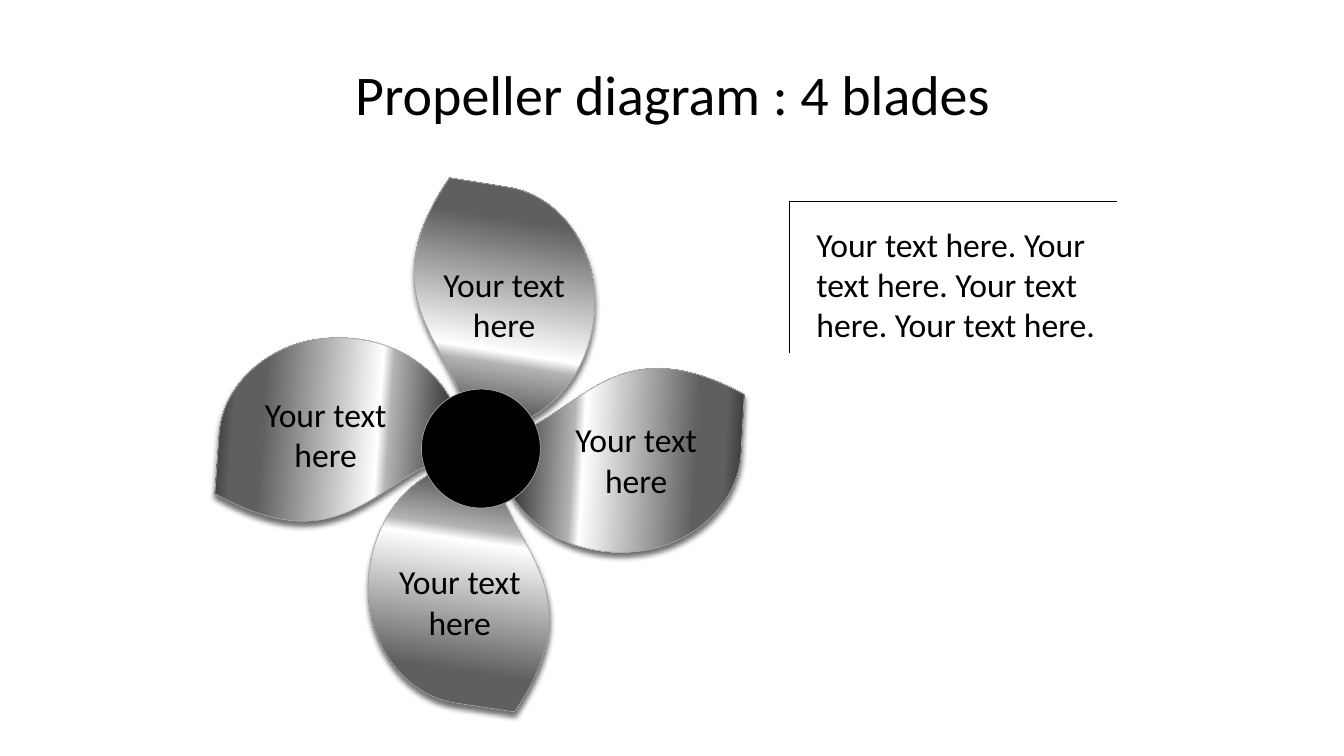
from lxml import etree
from pptx import Presentation
from pptx.dml.color import RGBColor
from pptx.enum.shapes import MSO_CONNECTOR, MSO_SHAPE
from pptx.enum.text import MSO_ANCHOR, PP_ALIGN
from pptx.oxml.ns import qn
from pptx.util import Pt

PX = 9144
BLACK = RGBColor(0x00, 0x00, 0x00)
EDGE = RGBColor(0xA6, 0xA6, 0xA6)
FONT = "Calibri"
LEFT, CENTER = PP_ALIGN.LEFT, PP_ALIGN.CENTER
TOP, MIDDLE = MSO_ANCHOR.TOP, MSO_ANCHOR.MIDDLE
OVAL = MSO_SHAPE.OVAL
LINE = MSO_CONNECTOR.STRAIGHT

STOPS = [
    (0, RGBColor(0x26, 0x26, 0x26)),
    (11, RGBColor(0x5F, 0x5F, 0x5F)),
    (21, RGBColor(0x5F, 0x5F, 0x5F)),
    (63, RGBColor(0xFF, 0xFF, 0xFF)),
    (67, RGBColor(0xB2, 0xB2, 0xB2)),
    (91, RGBColor(0x29, 0x29, 0x29)),
    (98, RGBColor(0x77, 0x77, 0x77)),
    (100, RGBColor(0xEA, 0xEA, 0xEA)),
]
START = (122, 242)
CURVE = [
    (162, 243), (199, 217), (217, 177),
    (232, 143), (232, 102), (218, 68),
    (200, 27), (164, 0), (124, 0),
    (124, 0), (65, 0), (65, 0),
    (0, 138), (103, 162), START,
]
BLADES = [(361, 183, 9.1), (222, 326, 274.1), (362, 457, 188.5), (498, 314, 93.2)]
LABELS = [(421, 257), (552, 411), (377, 552), (244, 386)]


def add_node(parent, tag, **attrs):
    """Append a drawing element with the given attributes."""
    return etree.SubElement(parent, qn(tag), {k: str(v) for k, v in attrs.items()})


def set_edge(shape):
    """Give a shape its thin grey outline."""
    shape.line.color.rgb = EDGE
    shape.line.width = Pt(0.5)


def bend(shape):
    """Turn each three straight segments into one Bezier curve."""
    lines = list(shape._element.iter(qn("a:lnTo")))
    for i in range(0, len(lines), 3):
        curve = etree.Element(qn("a:cubicBezTo"))
        lines[i].addprevious(curve)
        for line in lines[i:i + 3]:
            curve.append(line[0])
            line.getparent().remove(line)


def shade(shape):
    """Fill a shape with the metal gradient."""
    shape.fill.gradient()
    shape.fill.gradient_angle = 270
    stops = next(shape._element.iter(qn("a:gsLst")))
    for old in list(stops):
        stops.remove(old)
    for pos, color in STOPS:
        stop = add_node(stops, "a:gs", pos=pos * 1000)
        add_node(stop, "a:srgbClr", val=color)


def cast(shape):
    """Add a soft shadow below a shape."""
    shape.shadow.inherit = False
    effects = next(shape._element.iter(qn("a:effectLst")))
    outer = add_node(effects, "a:outerShdw", blurRad=Pt(4), dist=Pt(3),
                     dir=5400000, rotWithShape=0)
    color = add_node(outer, "a:srgbClr", val=BLACK)
    add_node(color, "a:alpha", val=56000)


def add_blade(shapes, left, top, turn):
    """Draw one turned propeller blade."""
    pen = shapes.build_freeform(*START, scale=PX)
    pen.add_line_segments(CURVE, close=True)
    blade = pen.convert_to_shape(left * PX, top * PX)
    bend(blade)
    blade.rotation = turn
    shade(blade)
    set_edge(blade)
    cast(blade)


def add_hub(shapes, left, top, size):
    """Draw the round black hub."""
    hub = shapes.add_shape(OVAL, left * PX, top * PX, size * PX, size * PX)
    hub.shadow.inherit = False
    hub.fill.solid()
    hub.fill.fore_color.rgb = BLACK
    set_edge(hub)


def add_text(shapes, box, text, size=24, align=LEFT, anchor=TOP):
    """Add a wrapped text box with one run."""
    frame = shapes.add_textbox(*(n * PX for n in box)).text_frame
    frame.word_wrap = True
    frame.vertical_anchor = anchor
    para = frame.paragraphs[0]
    para.alignment = align
    run = para.add_run()
    run.text = text
    run.font.name = FONT
    run.font.size = Pt(size)
    run.font.color.rgb = BLACK


def add_rule(shapes, *ends):
    """Draw a thin black line."""
    rule = shapes.add_connector(LINE, *(n * PX for n in ends))
    rule.line.color.rgb = BLACK
    rule.line.width = Pt(0.75)
    add_node(rule._element.spPr, "a:effectLst")


def main():
    """Build the propeller slide."""
    deck = Presentation()
    deck.slide_width, deck.slide_height = 1333 * PX, 750 * PX
    slide = deck.slides.add_slide(deck.slide_layouts[6])

    wheel = slide.shapes.add_group_shape().shapes
    for blade in BLADES:
        add_blade(wheel, *blade)
    add_hub(wheel, 418, 386, 118)
    for left, top in LABELS:
        add_text(wheel, (left, top, 158, 91), "Your text here", align=CENTER)

    note = slide.shapes.add_group_shape().shapes
    add_text(note, (800, 217, 333, 131),
             "Your text here. Your text here. Your text here. Your text here.")
    add_rule(note, 783, 200, 1108, 200)
    add_rule(note, 783, 200, 783, 350)

    add_text(slide.shapes, (67, 30, 1200, 125), "Propeller diagram : 4 blades",
             40, CENTER, MIDDLE)
    deck.save("out.pptx")


if __name__ == "__main__":
    main()
